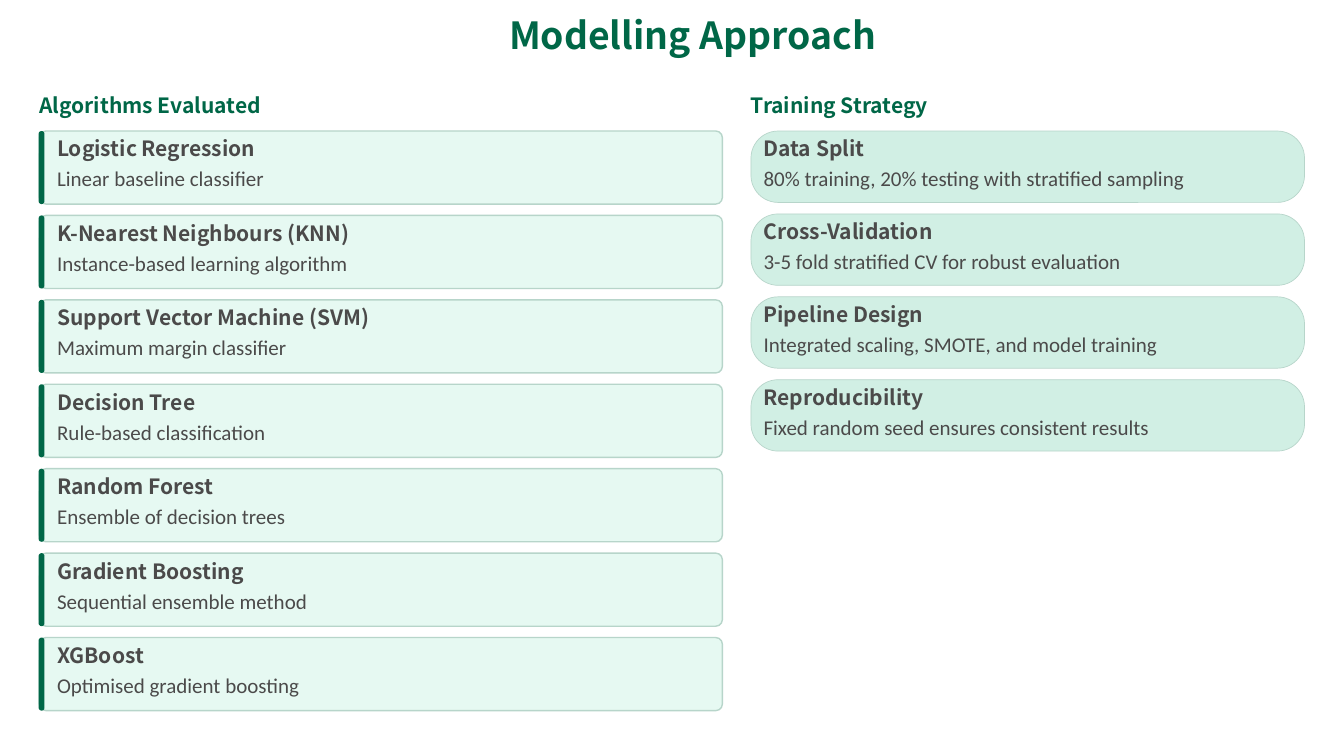
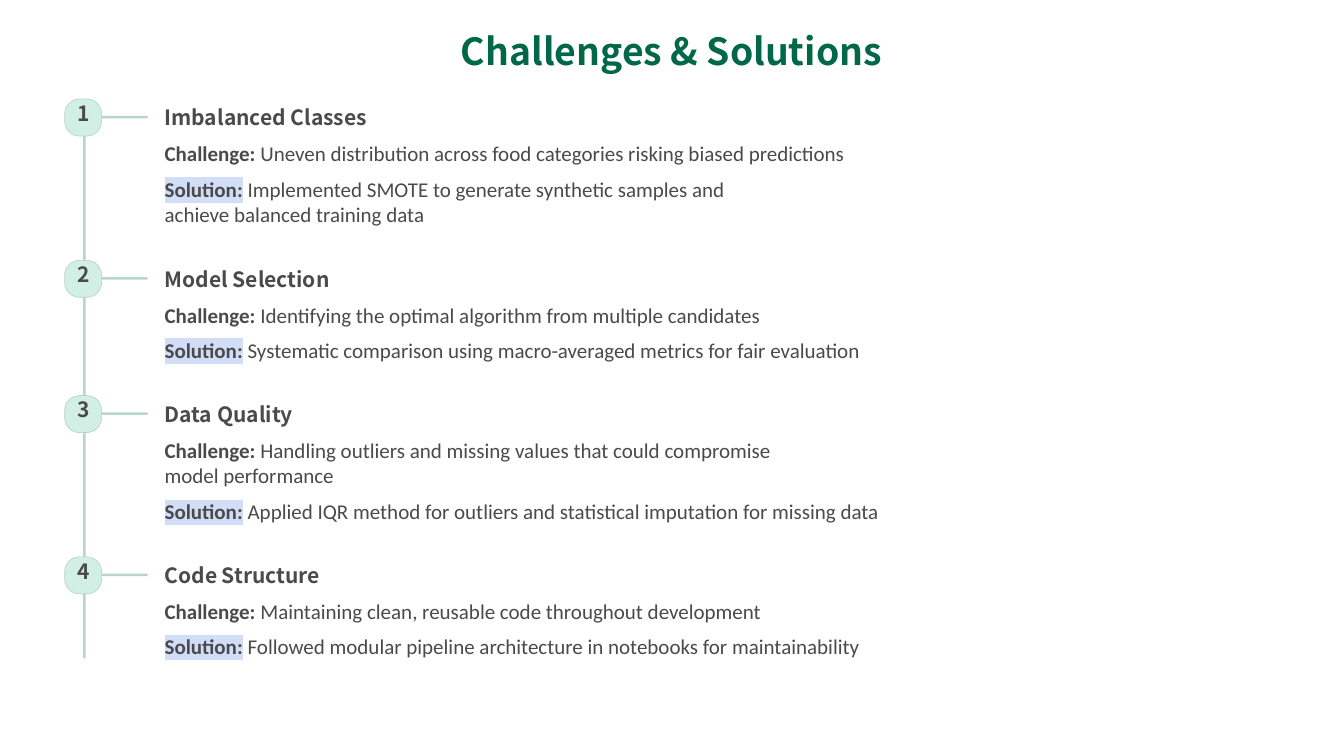
from lxml import etree
from pptx import Presentation
from pptx.dml.color import RGBColor
from pptx.enum.shapes import MSO_SHAPE
from pptx.enum.text import PP_ALIGN
from pptx.oxml.ns import qn
from pptx.util import Pt

PX = 9144  # EMU: 100 px to the inch
SLIDE_W, SLIDE_H = 1600, 900

GREEN = RGBColor(0x00, 0x67, 0x47)
INK = RGBColor(0x4B, 0x4A, 0x4A)
MINT = RGBColor(0xD1, 0xEF, 0xE4)
PALE_MINT = RGBColor(0xE5, 0xF9, 0xF2)
SAGE = RGBColor(0xB7, 0xD5, 0xCA)
HIGHLIGHT = "D2DDF8"

HEADING_FONT = "Noto Sans CJK SC"
BODY_FONT = "Calibri"
ROUND_RECT = MSO_SHAPE.ROUNDED_RECTANGLE
LEFT, CENTER = PP_ALIGN.LEFT, PP_ALIGN.CENTER

ALGORITHMS = [
    ("Logistic Regression", "Linear baseline classifier"),
    ("K-Nearest Neighbours (KNN)", "Instance-based learning algorithm"),
    ("Support Vector Machine (SVM)", "Maximum margin classifier"),
    ("Decision Tree", "Rule-based classification"),
    ("Random Forest", "Ensemble of decision trees"),
    ("Gradient Boosting", "Sequential ensemble method"),
    ("XGBoost", "Optimised gradient boosting"),
]
STRATEGIES = [
    ("Data Split", "80% training, 20% testing with stratified sampling"),
    ("Cross-Validation", "3-5 fold stratified CV for robust evaluation"),
    ("Pipeline Design", "Integrated scaling, SMOTE, and model training"),
    ("Reproducibility", "Fixed random seed ensures consistent results"),
]
# Heading, then challenge and solution, each with its number of lines
CHALLENGES = [
    ("Imbalanced Classes",
     ("Uneven distribution across food categories risking biased predictions", 1),
     ("Implemented SMOTE to generate synthetic samples and "
      "achieve balanced training data", 2)),
    ("Model Selection",
     ("Identifying the optimal algorithm from multiple candidates", 1),
     ("Systematic comparison using macro-averaged metrics for fair evaluation", 1)),
    ("Data Quality",
     ("Handling outliers and missing values that could compromise "
      "model performance", 2),
     ("Applied IQR method for outliers and statistical imputation "
      "for missing data", 1)),
    ("Code Structure",
     ("Maintaining clean, reusable code throughout development", 1),
     ("Followed modular pipeline architecture in notebooks for maintainability", 1)),
]


def px(*lengths):
    return [round(length * PX) for length in lengths]


def add_text(slide, box, text, spacing, font=HEADING_FONT, size=18, color=INK,
             bold=True, align=LEFT, wrap=False):
    """Place one paragraph in a box without insets and return the paragraph."""
    frame = slide.shapes.add_textbox(*px(*box)).text_frame
    frame.margin_left = frame.margin_top = 0
    frame.margin_right = frame.margin_bottom = 0
    frame.word_wrap = wrap
    paragraph = frame.paragraphs[0]
    paragraph.alignment = align
    paragraph.line_spacing = Pt(spacing)
    paragraph.font.name = font
    paragraph.font.size = Pt(size)
    paragraph.font.bold = bold
    paragraph.font.color.rgb = color
    paragraph.add_run().text = text
    return paragraph


def add_title(slide, box, text, spacing, align):
    add_text(slide, box, text, spacing, size=32, color=GREEN, align=align)


def add_round_rect(slide, box, fill, radius=0.5, line_width=0, opacity=100):
    shape = slide.shapes.add_shape(ROUND_RECT, *px(*box))
    shape.shadow.inherit = False
    shape.adjustments[0] = radius
    shape.fill.solid()
    shape.fill.fore_color.rgb = fill
    if opacity < 100:
        color = shape.element.spPr.find(qn("a:solidFill")).find(qn("a:srgbClr"))
        etree.SubElement(color, qn("a:alpha")).set("val", str(opacity * 1000))
    if line_width:
        shape.line.color.rgb = SAGE
        shape.line.width = Pt(line_width)
    else:
        shape.line.fill.background()


def add_algorithm_panel(slide, box):
    add_round_rect(slide, box, PALE_MINT, 0.09, 1.2, opacity=95)
    left, top, _, height = box
    add_round_rect(slide, (left - 1, top, 7, height), GREEN)


def add_strategy_panel(slide, box):
    add_round_rect(slide, box, MINT, 0.38, 0.6)


def add_card_column(slide, box, heading, cards, card_height, indent, add_panel):
    """Heading above cards spread evenly from the top to the bottom of the box."""
    left, top, width, height = box
    add_text(slide, (left, top - 41, 300, 25), heading, 18, color=GREEN)
    pitch = (height - card_height) / (len(cards) - 1)
    for index, (name, detail) in enumerate(cards):
        card_top = top + index * pitch
        add_panel(slide, (left, card_top, width, card_height))
        add_text(slide, (left + indent, card_top + 15, 400, 21), name, 15)
        add_text(slide, (left + indent, card_top + 50, width - 2 * indent, 22),
                 detail, 15.5, BODY_FONT, bold=False)


def add_statement(slide, box, label, statement, wrap, highlighted):
    paragraph = add_text(slide, box, label, 22, BODY_FONT, bold=False, wrap=wrap)
    label_run = paragraph.runs[0]
    label_run.font.bold = True
    if highlighted:
        mark = etree.SubElement(label_run.font._element, qn("a:highlight"))
        etree.SubElement(mark, qn("a:srgbClr")).set("val", HIGHLIGHT)
    paragraph.add_run().text = " " + statement


def add_timeline(slide, box):
    """Numbered steps down a spine, each as tall as its statements need."""
    left, top, width, height = box
    line_height, statement_gap, step_gap = 31, 11, 39
    wrapped_width = 746
    text_left = left + 119
    add_round_rect(slide, (left + 22, top, 3, height), SAGE)
    for number, (heading, *statements) in enumerate(CHALLENGES, 1):
        add_round_rect(slide, (left + 41, top + 20, 58, 3), SAGE)
        add_round_rect(slide, (left, top, 44, 44), MINT, 0.4, 0.6)
        add_text(slide, (left + 8, top + 3, 29, 36), str(number), 20.5, align=CENTER)
        add_text(slide, (text_left, top + 7, 300, 30), heading, 21.5)
        top += 49
        for label, (statement, lines) in zip(("Challenge:", "Solution:"), statements):
            wrap = lines > 1
            statement_width = wrapped_width if wrap else width - 119
            statement_height = lines * line_height
            add_statement(slide, (text_left, top, statement_width, statement_height),
                          label, statement, wrap, label == "Solution:")
            top += statement_height + statement_gap
        top += step_gap - statement_gap


def build_modelling_slide(slide):
    add_title(slide, (606, 25, 472, 63), "Modelling Approach", 30.5, LEFT)
    add_card_column(slide, (47, 156, 813, 690), "Algorithms Evaluated",
                    ALGORITHMS, 87, 21, add_algorithm_panel)
    add_card_column(slide, (894, 156, 659, 381), "Training Strategy",
                    STRATEGIES, 85, 15, add_strategy_panel)


def build_challenges_slide(slide):
    add_title(slide, (517, 26, 565, 60), "Challenges & Solutions", 43.5, CENTER)
    add_timeline(slide, (77, 118, 1069, 666))


def main():
    deck = Presentation()
    deck.slide_width, deck.slide_height = px(SLIDE_W, SLIDE_H)
    for build in (build_modelling_slide, build_challenges_slide):
        build(deck.slides.add_slide(deck.slide_layouts[6]))
    deck.save("out.pptx")


if __name__ == "__main__":
    main()
